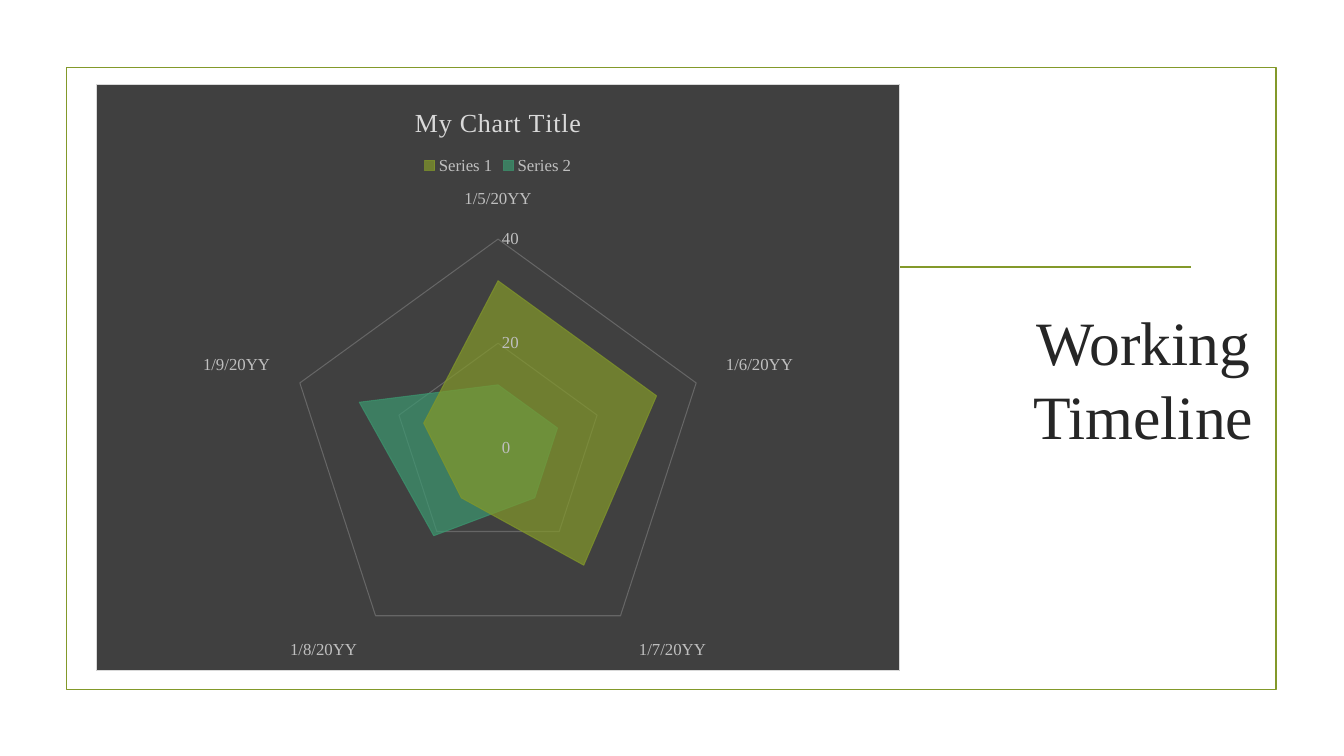
from dataclasses import dataclass
from typing import Any

import pptx
import pptx.chart.data
import pptx.dml.color
import pptx.enum.chart
import pptx.enum.shapes
import pptx.enum.text
import pptx.oxml
import pptx.oxml.ns
import pptx.util
from pptx.util import Inches

FONT = "Times New Roman"
OLIVE = "83992A"
GREEN = "3C9770"
CHARCOAL = "404040"
SILVER = "D9D9D9"
LABEL_GREY = "BFBFBF"
WHITE = "FFFFFF"
DATES = [f"1/{day}/20YY" for day in range(5, 10)]


@dataclass
class TimelineSeries:
    name: str
    values: tuple[int, ...]
    colour: str


SERIES = [
    TimelineSeries("Series 1", (32, 32, 28, 12, 15), OLIVE),
    TimelineSeries("Series 2", (12, 12, 12, 21, 28), GREEN),
]


def rgb(colour: str) -> pptx.dml.color.RGBColor:
    return pptx.dml.color.RGBColor.from_string(colour)


def set_alpha(element: Any, percent: int) -> None:
    for colour in element.iter(pptx.oxml.ns.qn("a:srgbClr")):
        alpha = colour.makeelement(pptx.oxml.ns.qn("a:alpha"), {"val": str(percent * 1000)})
        colour.append(alpha)


def set_line(line: Any, colour: str, width: float) -> None:
    line.color.rgb = rgb(colour)
    line.width = pptx.util.Pt(width)


def set_font(font: Any, size: float, colour: str) -> None:
    font.name = FONT
    font.size = pptx.util.Pt(size)
    font.bold = False
    font.color.rgb = rgb(colour)


def write_text(frame: Any, text: str, *, size: float, colour: str, spacing: int = 0) -> None:
    para = frame.paragraphs[0]
    para.alignment = pptx.enum.text.PP_ALIGN.CENTER
    span = para.add_run()
    span.text = text
    set_font(span.font, size, colour)
    if spacing:
        span.font._element.set("spc", str(spacing))


def add_frame(page: Any) -> None:
    box = page.shapes.add_shape(
        pptx.enum.shapes.MSO_SHAPE.RECTANGLE,
        Inches(0.66), Inches(0.67), Inches(12), Inches(6.17),
    )
    box.shadow.inherit = False
    box.fill.background()
    set_line(box.line, OLIVE, 1.25)
    rule = page.shapes.add_connector(
        pptx.enum.shapes.MSO_CONNECTOR.STRAIGHT,
        Inches(1.53), Inches(2.65), Inches(11.81), Inches(2.65),
    )
    set_line(rule.line, OLIVE, 1.25)
    properties = rule._element.spPr
    properties.append(properties.makeelement(pptx.oxml.ns.qn("a:effectLst"), {}))


def add_title(page: Any) -> None:
    box = page.shapes.title
    box.left, box.top = Inches(9.73), Inches(1.23)
    box.width, box.height = Inches(3.22), Inches(5.03)
    box.text_frame.word_wrap = True
    box.text_frame.vertical_anchor = pptx.enum.text.MSO_ANCHOR.MIDDLE
    write_text(box.text_frame, "Working Timeline", size=44, colour="262626")


def set_chart_background(chart: Any, fill: str, border: str) -> None:
    properties = pptx.oxml.parse_xml(
        f'<c:spPr {pptx.oxml.ns.nsdecls("c", "a")}>'
        f'<a:solidFill><a:srgbClr val="{fill}"/></a:solidFill>'
        f'<a:ln w="{pptx.util.Pt(0.75)}"><a:solidFill><a:srgbClr val="{border}"/>'
        "</a:solidFill></a:ln></c:spPr>"
    )
    chart._chartSpace.find(pptx.oxml.ns.qn("c:chart")).addnext(properties)


def format_axis(axis: Any) -> None:
    axis.major_tick_mark = pptx.enum.chart.XL_TICK_MARK.NONE
    axis.minor_tick_mark = pptx.enum.chart.XL_TICK_MARK.NONE
    axis.format.line.fill.background()
    axis.has_major_gridlines = True
    grid = axis.major_gridlines.format.line
    set_line(grid, WHITE, 0.75)
    set_alpha(axis.major_gridlines._xAx.find(pptx.oxml.ns.qn("c:majorGridlines")), 20)
    set_font(axis.tick_labels.font, 12, LABEL_GREY)


def add_radar(page: Any) -> None:
    data = pptx.chart.data.CategoryChartData()
    data.categories = DATES
    for series in SERIES:
        data.add_series(series.name, series.values)
    chart = page.shapes.add_chart(
        pptx.enum.chart.XL_CHART_TYPE.RADAR_FILLED,
        Inches(0.95), Inches(0.83), Inches(7.98), Inches(5.83), data,
    ).chart
    set_font(chart.font, 10, "000000")
    set_chart_background(chart, CHARCOAL, SILVER)

    chart.has_title = True
    write_text(chart.chart_title.text_frame, "My Chart Title",
               size=18.6, colour=SILVER, spacing=50)
    chart.chart_title.include_in_layout = False
    chart.has_legend = True
    chart.legend.position = pptx.enum.chart.XL_LEGEND_POSITION.TOP
    chart.legend.include_in_layout = False
    set_font(chart.legend.font, 12, LABEL_GREY)

    for axis in (chart.category_axis, chart.value_axis):
        format_axis(axis)
    chart.value_axis.minimum_scale = 0
    chart.value_axis.maximum_scale = 40
    chart.value_axis.major_unit = 20

    for plotted, series in zip(chart.plots[0].series, SERIES):
        plotted.format.fill.solid()
        plotted.format.fill.fore_color.rgb = rgb(series.colour)
        set_line(plotted.format.line, series.colour, 0.75)
        set_alpha(plotted._element.spPr, 70)


def main() -> None:
    deck = pptx.Presentation()
    deck.slide_width, deck.slide_height = Inches(13.33), Inches(7.5)
    page = deck.slides.add_slide(deck.slide_layouts.get_by_name("Title Only"))
    add_frame(page)
    add_title(page)
    add_radar(page)
    deck.save("out.pptx")


if __name__ == "__main__":
    main()
